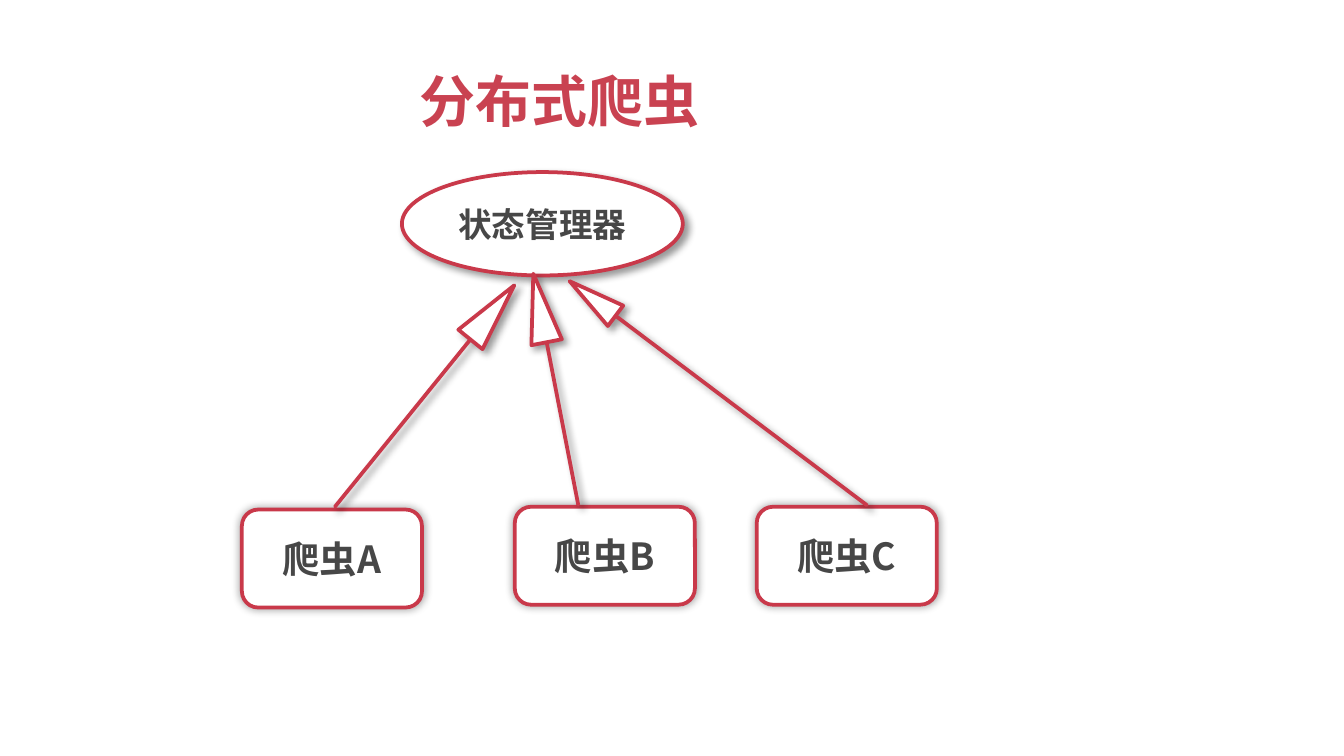
from lxml import etree
from pptx import Presentation
from pptx import util as u
from pptx.dml.color import RGBColor
from pptx.enum import shapes, text
from pptx.oxml import ns

RED = RGBColor(0xC9, 0x39, 0x4A)
TITLE_RED = RGBColor(0xC9, 0x42, 0x51)
GREY = RGBColor(0x47, 0x47, 0x47)
WHITE = RGBColor(0xFF, 0xFF, 0xFF)
FONT = "Noto Sans CJK SC"
GLOW = (5, 0, 0)
DROP = (4, 3, 45)


class Diagram:
    """Style and current slide of the diagram."""

    def __init__(self, slide):
        """Keep the slide to draw on."""
        self.slide = slide

    def label(self, shape, words, size, color):
        """Put one centred bold run into a shape."""
        frame = shape.text_frame
        frame.word_wrap = True
        paragraph = frame.paragraphs[0]
        paragraph.alignment = text.PP_ALIGN.CENTER
        run = paragraph.add_run()
        run.text = words
        font = run.font
        font.name, font.size, font.bold = FONT, u.Pt(size), True
        font.color.rgb = color
        east_asian = etree.SubElement(font._element, ns.qn("a:ea"))
        east_asian.set("typeface", FONT)
        return paragraph

    def shadow(self, shape, blur, distance, angle):
        """Give a shape a soft black shadow."""
        shape.shadow.inherit = False
        effects = shape._element.spPr.find(ns.qn("a:effectLst"))
        outer = etree.SubElement(
            effects, ns.qn("a:outerShdw"), blurRad=str(u.Pt(blur)),
            dist=str(u.Pt(distance)), dir=str(angle * 60000), rotWithShape="0")
        black = etree.SubElement(outer, ns.qn("a:srgbClr"), val="000000")
        etree.SubElement(black, ns.qn("a:alpha"), val="40000")

    def outline(self, kind, box, shadow):
        """Draw a white preset shape with a red outline."""
        shape = self.slide.shapes.add_shape(kind, *map(u.Pt, box))
        shape.fill.solid()
        shape.fill.fore_color.rgb = WHITE
        shape.line.color.rgb = RED
        shape.line.width = u.Pt(2)
        self.shadow(shape, *shadow)
        return shape

    def node(self, kind, box, words, size, shadow):
        """Draw a labelled shape."""
        shape = self.outline(kind, box, shadow)
        shape.text_frame.vertical_anchor = text.MSO_ANCHOR.MIDDLE
        self.label(shape, words, size, GREY)
        return shape

    def crawler(self, left, top, words):
        """Draw a rounded crawler box."""
        box = self.node(shapes.MSO_SHAPE.ROUNDED_RECTANGLE,
                        (left, top, 96.5, 52.5), words, 20, GLOW)
        box.adjustments[0] = 0.167

    def arrow(self, box, rotation):
        """Draw a thin arrow with a long head, turned to its target."""
        arrow = self.outline(shapes.MSO_SHAPE.LEFT_ARROW, box, DROP)
        arrow.adjustments[0] = 0
        arrow.adjustments[1] = 2.25
        arrow.rotation = rotation

    def title(self, box, words):
        """Add the slide title."""
        title = self.slide.shapes.add_textbox(*map(u.Pt, box))
        title.text_frame.margin_top = title.text_frame.margin_bottom = 0
        self.label(title, words, 30, TITLE_RED).line_spacing = 0.95


def main():
    """Build and save the slide."""
    presentation = Presentation()
    presentation.slide_width, presentation.slide_height = u.Pt(720), u.Pt(405)
    slide = presentation.slides.add_slide(presentation.slide_layouts[6])
    diagram = Diagram(slide)

    diagram.crawler(129.6, 273, "爬虫A")
    diagram.arrow((151.2, 203.8, 152.6, 16.6), 129)
    diagram.node(shapes.MSO_SHAPE.OVAL, (215.3, 92.2, 150.5, 55.4),
                 "状态管理器", 18, DROP)
    diagram.title((44.6, 38.2, 510.5, 45.4), "分布式爬虫")
    for left, words in ((275.8, "爬虫B"), (405.4, "爬虫C")):
        diagram.crawler(left, 271.5, words)
    diagram.arrow((234.7, 200.2, 126, 16.6), 79)
    diagram.arrow((285.1, 203.8, 199.4, 13.7), 37)

    presentation.save("out.pptx")


main()
